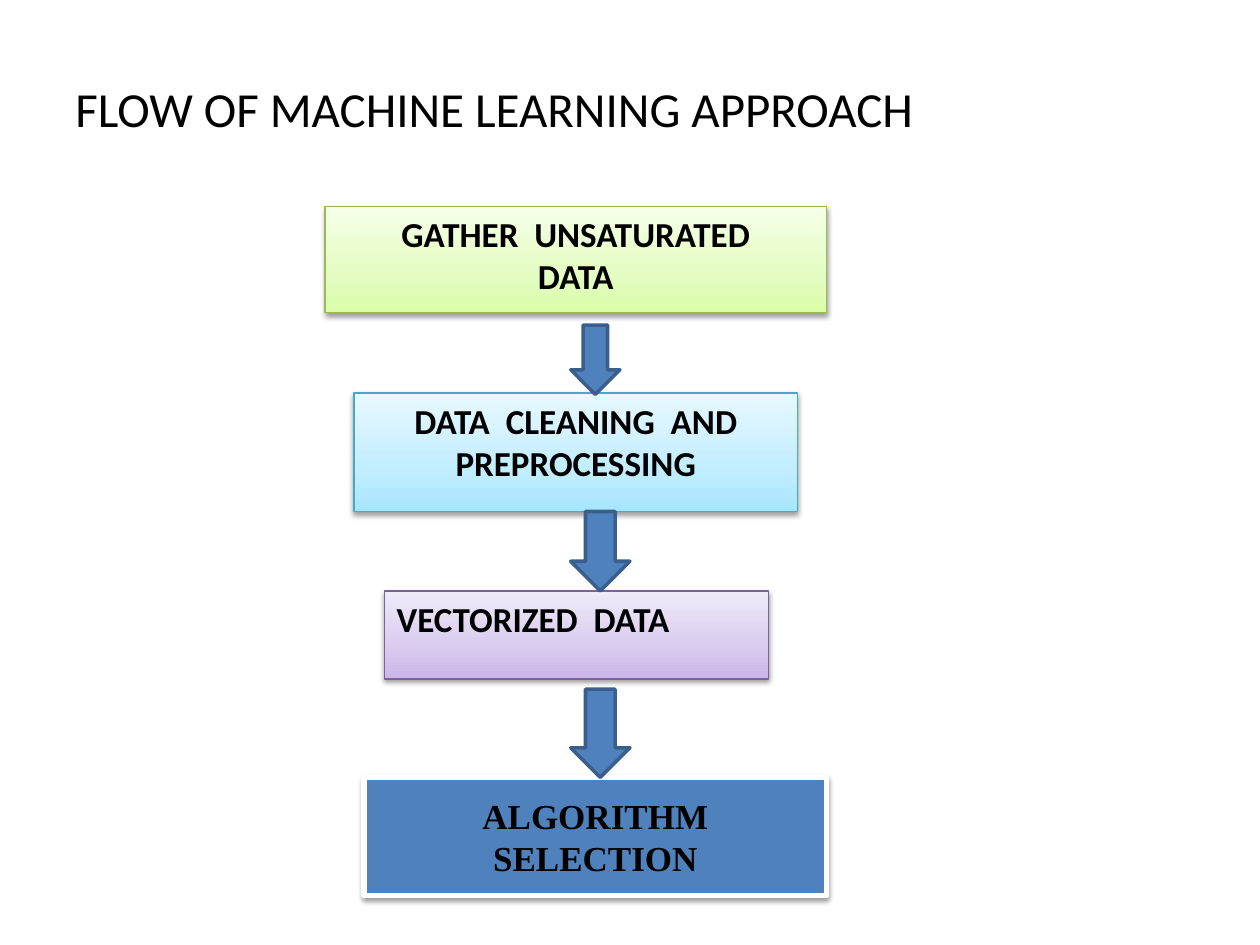
from copy import deepcopy

from lxml import etree
from pptx import Presentation
from pptx.dml.color import RGBColor
from pptx.enum.shapes import MSO_SHAPE as SHAPE
from pptx.enum.text import MSO_ANCHOR as ANCHOR, PP_ALIGN as ALIGN
from pptx.oxml.ns import qn
from pptx.util import Inches, Pt

COLORS = {
    "text": "000000",
    "blue": "4F81BD",
    "arrow_line": "3A5F8C",
    "white": "FFFFFF",
    "green_line": "98B955",
    "cyan_line": "46AAC5",
    "purple_line": "7D60A0",
}
GRADIENTS = {
    "green": ("DAFDA7", "E4FCC2", "F5FFE7"),
    "cyan": ("A7E6FF", "C1EDFF", "E7F8FF"),
    "purple": ("C9B5E8", "D8CBEE", "F0EAF9"),
}
STOPS = (0, 0.35, 1)


def rgb(name):
    return RGBColor.from_string(COLORS[name])


class FlowSlide:
    def __init__(self, slide, font="Calibri"):
        self.s = slide
        self.font = font

    def add_text(self, tf, lines, size, bold=False, align=ALIGN.LEFT,
                 anchor=ANCHOR.TOP, font=None):
        tf.word_wrap = True
        tf.vertical_anchor = anchor
        for i, line in enumerate(lines):
            p = tf.paragraphs[0] if i == 0 else tf.add_paragraph()
            p.alignment = align
            r = p.add_run()
            r.text = line
            r.font.name = font or self.font
            r.font.size = Pt(size)
            r.font.bold = bold
            r.font.color.rgb = rgb("text")

    def title(self, text, *box):
        sp = self.s.shapes.add_textbox(*map(Inches, box))
        self.add_text(sp.text_frame, [text], 28, anchor=ANCHOR.MIDDLE)

    def shape(self, kind, box, fill, line, width):
        sp = self.s.shapes.add_shape(kind, *map(Inches, box))
        sp.shadow.inherit = False
        if fill in GRADIENTS:
            self.gradient(sp, GRADIENTS[fill])
        else:
            sp.fill.solid()
            sp.fill.fore_color.rgb = rgb(fill)
        sp.line.color.rgb = rgb(line)
        sp.line.width = Pt(width)
        return sp

    def gradient(self, sp, colors):
        """Fill from bottom to top with one stop per colour."""
        sp.fill.gradient()
        sp.fill.gradient_angle = 90
        stop_list = sp._element.spPr.find(qn("a:gradFill")).find(qn("a:gsLst"))
        stop_list.append(deepcopy(stop_list[-1]))
        for stop, position, color in zip(sp.fill.gradient_stops, STOPS, colors):
            stop.position = position
            stop.color.rgb = RGBColor.from_string(color)

    def drop_shadow(self, sp):
        effects = sp._element.spPr.find(qn("a:effectLst"))
        shadow = etree.SubElement(
            effects, qn("a:outerShdw"), blurRad=str(Pt(3.1)), dist=str(Pt(1.6)),
            dir="5400000", rotWithShape="0")
        color = etree.SubElement(shadow, qn("a:srgbClr"), val="000000")
        etree.SubElement(color, qn("a:alpha"), val="38000")

    def step(self, lines, box, fill, line, width=0.75,
             kind=SHAPE.FLOWCHART_PROCESS, **text_style):
        sp = self.shape(kind, box, fill, line, width)
        self.drop_shadow(sp)
        self.add_text(sp.text_frame, lines, 20, bold=True, **text_style)

    def arrow(self, top, width, height):
        box = (4.53, top, width, height)
        self.shape(SHAPE.DOWN_ARROW, box, "blue", "arrow_line", 2)


def main():
    prs = Presentation()
    prs.slide_width, prs.slide_height = Inches(10), Inches(7.5)
    flow = FlowSlide(prs.slides.add_slide(prs.slide_layouts[6]))

    flow.title("FLOW OF MACHINE LEARNING APPROACH", 0.5, 0.3, 8.72, 1.11)
    flow.step(["GATHER  UNSATURATED", "DATA"], (2.58, 1.64, 3.98, 0.84),
              "green", "green_line", kind=SHAPE.RECTANGLE, align=ALIGN.CENTER)
    flow.step(["DATA  CLEANING  AND", "PREPROCESSING"], (2.81, 3.12, 3.52, 0.94),
              "cyan", "cyan_line", align=ALIGN.CENTER)
    flow.step(["VECTORIZED  DATA"], (3.05, 4.69, 3.05, 0.7),
              "purple", "purple_line")
    flow.step(["ALGORITHM SELECTION"], (2.89, 6.17, 3.67, 0.94),
              "blue", "white", width=3, align=ALIGN.CENTER,
              anchor=ANCHOR.MIDDLE, font="Times New Roman")

    for top, width, height in ((2.58, 0.39, 0.55), (4.06, 0.47, 0.63),
                               (5.47, 0.47, 0.7)):
        flow.arrow(top, width, height)

    prs.save("out.pptx")


if __name__ == "__main__":
    main()
